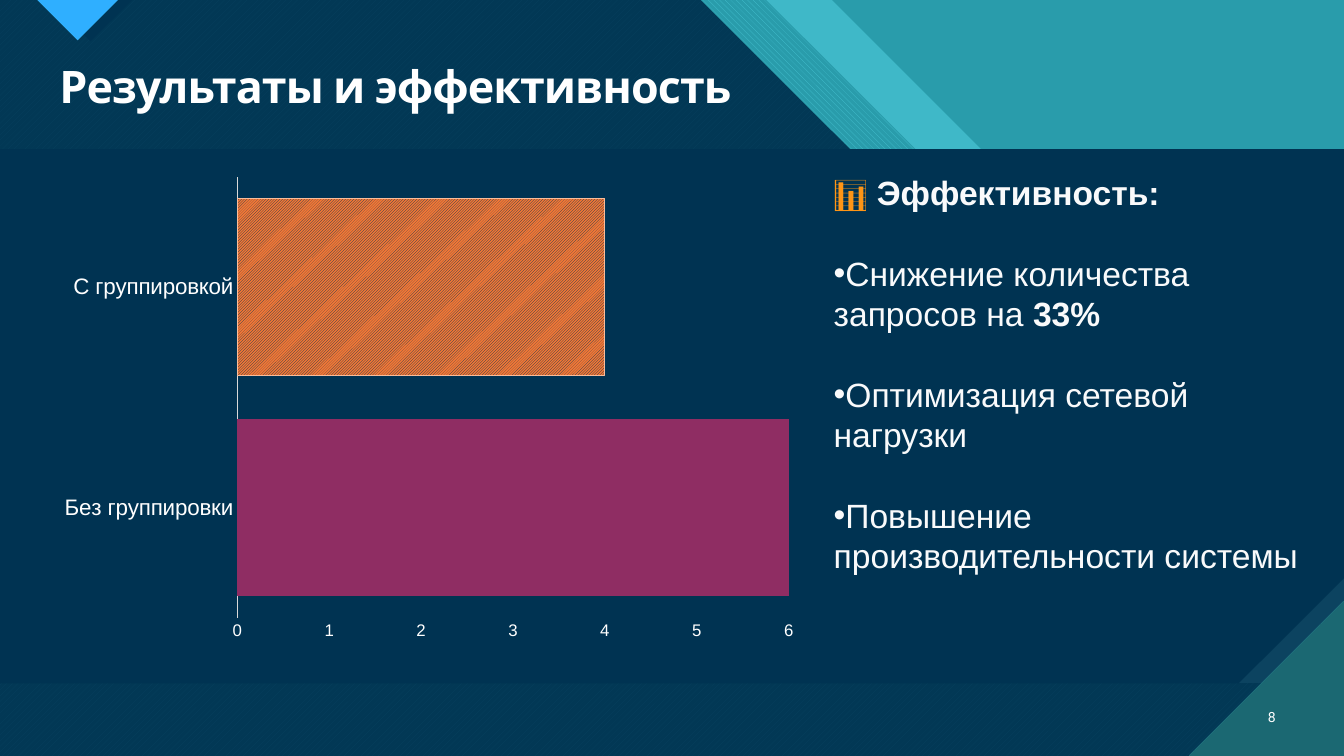
from dataclasses import dataclass

from lxml import etree
from pptx import Presentation
from pptx.chart.data import CategoryChartData
from pptx.dml.color import RGBColor
from pptx.dml.fill import FillFormat
from pptx.enum.chart import XL_CHART_TYPE, XL_TICK_MARK
from pptx.enum.dml import MSO_PATTERN
from pptx.enum.shapes import MSO_SHAPE
from pptx.enum.text import MSO_ANCHOR, PP_ALIGN
from pptx.oxml.ns import qn
from pptx.util import Inches, Pt

WIDE_DOWN = MSO_PATTERN.WIDE_DOWNWARD_DIAGONAL
WIDE_UP = MSO_PATTERN.WIDE_UPWARD_DIAGONAL
LIGHT_UP = MSO_PATTERN.LIGHT_UPWARD_DIAGONAL
DARK_ROWS = MSO_PATTERN.DARK_HORIZONTAL
DARK_COLUMNS = MSO_PATTERN.DARK_VERTICAL
BAR_CLUSTERED = XL_CHART_TYPE.BAR_CLUSTERED
NO_TICK = XL_TICK_MARK.NONE
RECTANGLE = MSO_SHAPE.RECTANGLE
SNIPPED = MSO_SHAPE.SNIP_1_RECTANGLE
TOP, MIDDLE = MSO_ANCHOR.TOP, MSO_ANCHOR.MIDDLE
LEFT, RIGHT = PP_ALIGN.LEFT, PP_ALIGN.RIGHT

AQUA = RGBColor(0x47, 0xC3, 0xD3)
TEAL = RGBColor(0x29, 0x9C, 0xAB)
DEEP_TEAL = RGBColor(0x1B, 0x68, 0x72)
NAVY = RGBColor(0x00, 0x33, 0x52)
STEEL = RGBColor(0x0C, 0x43, 0x60)
SKY = RGBColor(0x2F, 0xAF, 0xFF)
PLUM = RGBColor(0x8F, 0x2D, 0x63)
ORANGE = RGBColor(0xF4, 0x77, 0x35)
PEACH = RGBColor(0xF9, 0xBD, 0x9B)
AMBER = RGBColor(0xFE, 0x95, 0x16)
WHITE = RGBColor(0xFF, 0xFF, 0xFF)
OFF_WHITE = RGBColor(0xF9, 0xFA, 0xFB)
AXIS_GREY = RGBColor(0xD9, 0xD9, 0xD9)

WIDTH, HEIGHT = 13.33, 7.5
Points = list[tuple[float, float]]


@dataclass
class Paint:
    color: RGBColor
    pattern: MSO_PATTERN | None = None
    back: RGBColor | None = None
    alpha: int = 100


@dataclass
class Facet:
    points: Points
    paint: Paint


@dataclass
class Run:
    text: str
    size: float
    font: str = "Arial"
    color: RGBColor = OFF_WHITE
    bold: bool = False


def apply_paint(fill: FillFormat, paint: Paint) -> None:
    if paint.pattern is None:
        fill.solid()
    else:
        fill.patterned()
        fill.pattern = paint.pattern
        fill.back_color.rgb = paint.back
    fill.fore_color.rgb = paint.color


def finish(shape, paint: Paint) -> None:
    apply_paint(shape.fill, paint)
    if paint.alpha < 100:
        color = shape.element.spPr.find(".//" + qn("a:srgbClr"))
        etree.SubElement(color, qn("a:alpha")).set("val", str(paint.alpha * 1000))
    shape.line.fill.background()
    shape.shadow.inherit = False


def stepped_edge(left: float, top: float, ledge: float, corner: float) -> Points:
    return [(left, 0), (top, 0), (top + 2.97, 2.97), (ledge, 2.97),
            (WIDTH, corner), (WIDTH, HEIGHT), (left, HEIGHT)]


def draw_facet(slide, facet: Facet) -> None:
    start, *rest = [(Inches(x), Inches(y)) for x, y in facet.points]
    builder = slide.shapes.build_freeform(*start)
    builder.add_line_segments(rest, close=True)
    finish(builder.convert_to_shape(), facet.paint)


def draw_panel(slide, snip: float, paint: Paint) -> None:
    panel = slide.shapes.add_shape(
        SNIPPED, 0, Inches(1.48), Inches(WIDTH), Inches(5.3))
    panel.adjustments[0] = snip
    panel.element.spPr.find(qn("a:xfrm")).set("flipV", "1")
    finish(panel, paint)


def add_run(paragraph, run: Run) -> None:
    piece = paragraph.add_run()
    piece.text = run.text
    formats = {"size": Pt(run.size), "name": run.font, "bold": run.bold}
    for name, value in formats.items():
        setattr(piece.font, name, value)
    piece.font.color.rgb = run.color


def add_text(slide, left: float, top: float, width: float, height: float,
             anchor: MSO_ANCHOR = TOP):
    frame = slide.shapes.add_textbox(
        Inches(left), Inches(top), Inches(width), Inches(height)).text_frame
    frame.word_wrap = True
    frame.vertical_anchor = anchor
    return frame


def style_axis(axis, size: float) -> None:
    formats = {"major_tick_mark": NO_TICK, "minor_tick_mark": NO_TICK,
               "has_major_gridlines": False}
    for name, value in formats.items():
        setattr(axis, name, value)
    font = axis.tick_labels.font
    font.size, font.name = Pt(size), "Arial"
    font.color.rgb = WHITE


def draw_chart(slide) -> None:
    data = CategoryChartData()
    data.categories = ["Без группировки", "С группировкой"]
    data.add_series("Series 1", [6, 4])
    chart = slide.shapes.add_chart(
        BAR_CLUSTERED, Inches(0.49), Inches(1.66), Inches(7.53), Inches(4.78),
        data).chart
    chart.has_legend = chart.has_title = False
    chart.font.size, chart.font.name = Pt(10), "Arial"

    categories, requests = chart.category_axis, chart.value_axis
    style_axis(categories, 16)
    categories.format.line.color.rgb = AXIS_GREY
    categories.format.line.width = Pt(0.75)
    style_axis(requests, 12)
    requests.format.line.fill.background()
    requests.minimum_scale, requests.maximum_scale = 0, 6
    requests.major_unit = 1

    plot = chart.plots[0]
    plot.gap_width = 24
    plot.vary_by_categories = False
    bars = plot.series[0]
    apply_paint(bars.format.fill, Paint(PLUM))
    grouped = bars.points[1].format
    apply_paint(grouped.fill, Paint(NAVY, LIGHT_UP, ORANGE))
    grouped.line.color.rgb = PEACH
    grouped.line.width = Pt(0.75)


def draw_effects(slide) -> None:
    frame = add_text(slide, 8.17, 1.66, 5.01, 4.14)
    lines = [
        [Run("📊", 24, color=AMBER, bold=True), Run(" Эффективность:", 24, bold=True)],
        [Run("Снижение количества запросов на ", 24), Run("33%", 24, bold=True)],
        [Run("Оптимизация сетевой нагрузки", 24)],
        [Run("Повышение производительности системы", 24)],
    ]
    for index, runs in enumerate(lines):
        paragraph = frame.add_paragraph() if index else frame.paragraphs[0]
        paragraph.line_spacing = Pt(28.8)
        if index:
            paragraph.space_before = Pt(28.8)
            properties = paragraph._p.get_or_add_pPr()
            etree.SubElement(properties, qn("a:buFont")).set("typeface", "Arial")
            etree.SubElement(properties, qn("a:buChar")).set("char", "•")
        for run in runs:
            add_run(paragraph, run)


def main() -> None:
    deck = Presentation()
    deck.slide_width, deck.slide_height = Inches(WIDTH), Inches(HEIGHT)
    slide = deck.slides.add_slide(deck.slide_layouts[6])
    apply_paint(slide.background.fill, Paint(AQUA))

    backdrop = slide.shapes.add_shape(RECTANGLE, 0, 0, Inches(WIDTH), Inches(HEIGHT))
    finish(backdrop, Paint(TEAL))
    dark_edge = stepped_edge(0, 6.95, 11.18, 5.12)
    for facet in [
        Facet(stepped_edge(0, 8.25, 12.34, 3.96), Paint(AQUA, alpha=74)),
        Facet(stepped_edge(0.66, 7.6, 11.84, 4.47), Paint(AQUA, WIDE_DOWN, TEAL)),
        Facet(dark_edge, Paint(AQUA, WIDE_UP, DEEP_TEAL)),
        Facet(dark_edge, Paint(NAVY, alpha=90)),
        Facet([(0.48, 0), (1.31, 0), (0.9, 0.41)], Paint(NAVY)),
        Facet([(0.37, 0), (1.17, 0), (0.77, 0.4)], Paint(SKY, DARK_ROWS, DEEP_TEAL)),
    ]:
        draw_facet(slide, facet)
    draw_panel(slide, 0, Paint(STEEL, DARK_COLUMNS, DEEP_TEAL))
    draw_panel(slide, 0.197, Paint(NAVY))
    draw_facet(slide, Facet([(11.79, HEIGHT), (WIDTH, HEIGHT), (WIDTH, 5.96)],
                            Paint(DEEP_TEAL, DARK_ROWS, AQUA)))

    title = add_text(slide, 0.49, 0.59, 12.26, 1.07).paragraphs[0]
    title.line_spacing = 0.9
    add_run(title, Run("Результаты и эффективность", 32, "Karla", WHITE, True))
    title.runs[0].font._element.set("spc", "-70")

    draw_chart(slide)

    number = add_text(slide, 12.31, 6.91, 0.44, 0.4, MIDDLE).paragraphs[0]
    number.alignment = RIGHT
    add_run(number, Run("8", 10, "Roboto", WHITE))

    draw_effects(slide)
    deck.save("out.pptx")


if __name__ == "__main__":
    main()
